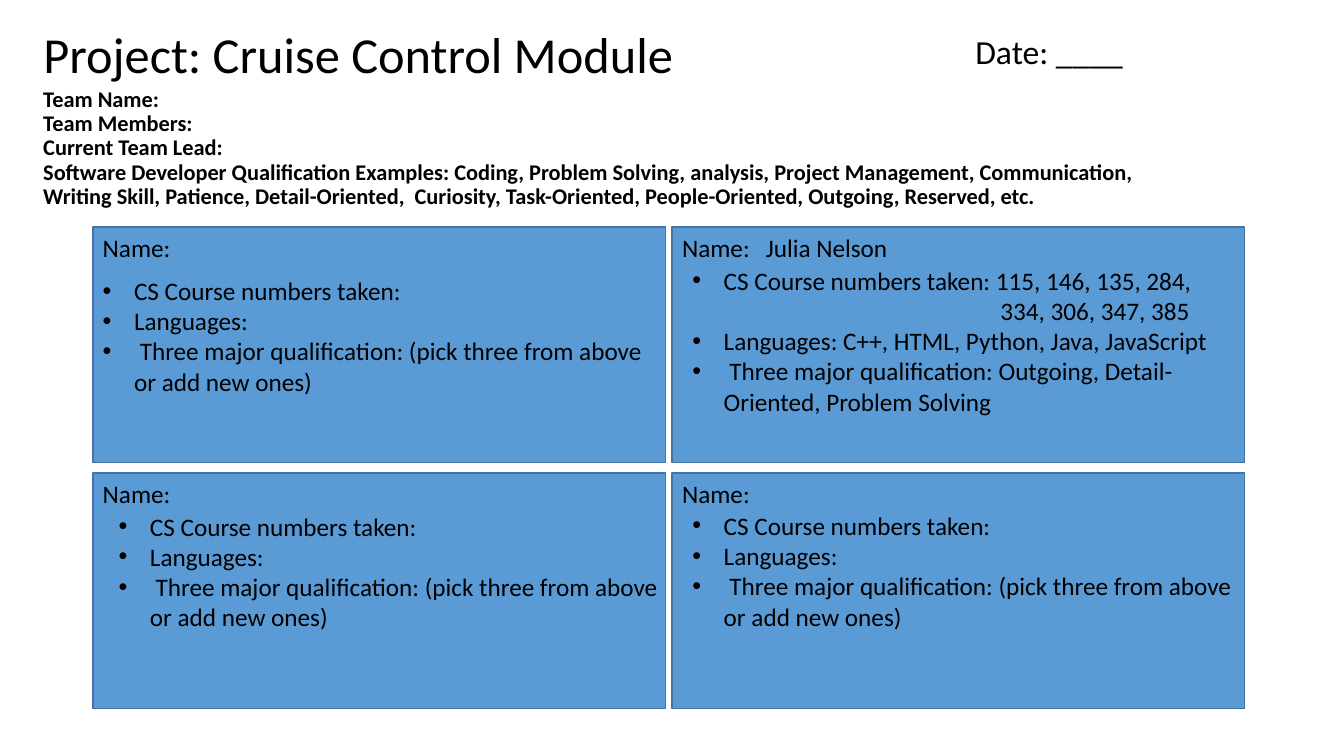
from dataclasses import dataclass
from typing import Any
from lxml.etree import SubElement as Sub
from pptx import Presentation as Deck
from pptx.dml.color import RGBColor as Rgb
from pptx.enum.shapes import MSO_SHAPE as Kind
from pptx.enum.text import MSO_ANCHOR as Anchor, MSO_AUTO_SIZE as Auto, PP_ALIGN as Align
from pptx.oxml.ns import qn
from pptx.util import Cm, Pt

INK = "000000"
BLUE = "5B9BD5"
EDGE = "43739E"
FONT = "Calibri"
WIDE, HIGH = 14.43, 5.94
LEFT, TOP = 2.34, 5.72
STEP_X, STEP_Y = 14.6, 6.2
HANG = 0.79
DEEP = 7.62
BLANK = [
    "CS Course numbers taken:",
    "Languages:",
    " Three major qualification: (pick three from above or add new ones)",
]
JULIA = [
    "CS Course numbers taken: 115, 146, 135, 284,",
    " 334, 306, 347, 385",
    "Languages: C++, HTML, Python, Java, JavaScript",
    " Three major qualification: Outgoing, Detail-Oriented, Problem Solving",
]
TEAM = [
    "Team Name:",
    "Team Members:",
    "Current Team Lead:",
    "Software Developer Qualification Examples: Coding, Problem Solving, analysis, "
    "Project Management, Communication, Writing Skill, Patience, Detail-Oriented,  "
    "Curiosity, Task-Oriented, People-Oriented, Outgoing, Reserved, etc.",
]


@dataclass
class Box:
    left: float
    top: float
    width: float
    height: float


@dataclass
class Card:
    col: int
    row: int
    lines: list[str]
    list_box: Box


CARDS = [
    Card(0, 0, BLANK, Box(2.34, 6.81, WIDE, 3.33)),
    Card(1, 0, JULIA, Box(17.2, 6.55, 13.54, 4.11)),
    Card(0, 1, BLANK, Box(2.74, 12.75, WIDE, 3.33)),
    Card(1, 1, BLANK, Box(17.2, 12.73, WIDE, 3.33)),
]


def color(code: str) -> Rgb:
    return Rgb.from_string(code)


def place(box: Box) -> tuple[Cm, Cm, Cm, Cm]:
    return Cm(box.left), Cm(box.top), Cm(box.width), Cm(box.height)


def write(shape: Any, lines: list[str], size: int, bold: bool = False,
          space: float = 1.0) -> None:
    frame = shape.text_frame
    frame.word_wrap = True
    frame.auto_size = Auto.NONE
    frame.text = "\n".join(lines)
    for para in frame.paragraphs:
        para.alignment = Align.LEFT
        para.line_spacing = space
        for run in para.runs:
            run.font.name = FONT
            run.font.size = Pt(size)
            run.font.bold = bold
            run.font.color.rgb = color(INK)


def add_text(shapes: Any, box: Box, lines: list[str], size: int = 18,
             bold: bool = False, space: float = 1.0) -> Any:
    shape = shapes.add_textbox(*place(box))
    write(shape, lines, size, bold, space)
    return shape


def indent(para: Any, left: float, first: float) -> Any:
    props = para._p.get_or_add_pPr()
    props.set("marL", str(Cm(left)))
    props.set("indent", str(Cm(first)))
    return props


def bullet(para: Any) -> None:
    props = indent(para, HANG, -HANG)
    Sub(props, qn("a:buFont")).set("typeface", "Arial")
    Sub(props, qn("a:buChar")).set("char", "•")


def add_card(shapes: Any, card: Card) -> None:
    left, top = LEFT + card.col * STEP_X, TOP + card.row * STEP_Y
    group = shapes.add_group_shape().shapes
    panel = group.add_shape(Kind.RECTANGLE, *place(Box(left, top, WIDE, HIGH)))
    panel.shadow.inherit = False
    panel.fill.solid()
    panel.fill.fore_color.rgb = color(BLUE)
    panel.line.color.rgb = color(EDGE)
    panel.line.width = Pt(1)
    add_text(group, Box(left, top, WIDE, 1.02), ["Name:"])


def add_list(shapes: Any, card: Card) -> None:
    shape = add_text(shapes, card.list_box, card.lines)
    for para in shape.text_frame.paragraphs:
        if para.text == JULIA[1]:
            para.level = 6
            indent(para, DEEP, 0)
        else:
            bullet(para)


def main() -> None:
    deck = Deck()
    deck.slide_width, deck.slide_height = Cm(33.87), Cm(19.05)
    shapes = deck.slides.add_slide(deck.slide_layouts[5]).shapes

    title = shapes.title
    title.left, title.top, title.width, title.height = place(Box(0.84, 0.43, 29.21, 2.03))
    write(title, ["Project: Cruise Control Module"], 36, space=0.9)
    title.text_frame.vertical_anchor = Anchor.MIDDLE

    team = add_text(shapes, Box(0.84, 2.03, 29.21, 3.43), TEAM, 16, True, 0.9)
    team.text_frame.vertical_anchor = Anchor.MIDDLE

    for card in CARDS:
        add_card(shapes, card)
    for card in CARDS:
        add_list(shapes, card)

    add_text(shapes, Box(24.33, 0.66, 8.31, 1.27), ["Date: ____"], 24)
    add_text(shapes, Box(19.05, 5.74, 7.42, 1.02), ["Julia Nelson"])
    deck.save("out.pptx")


if __name__ == "__main__":
    main()
